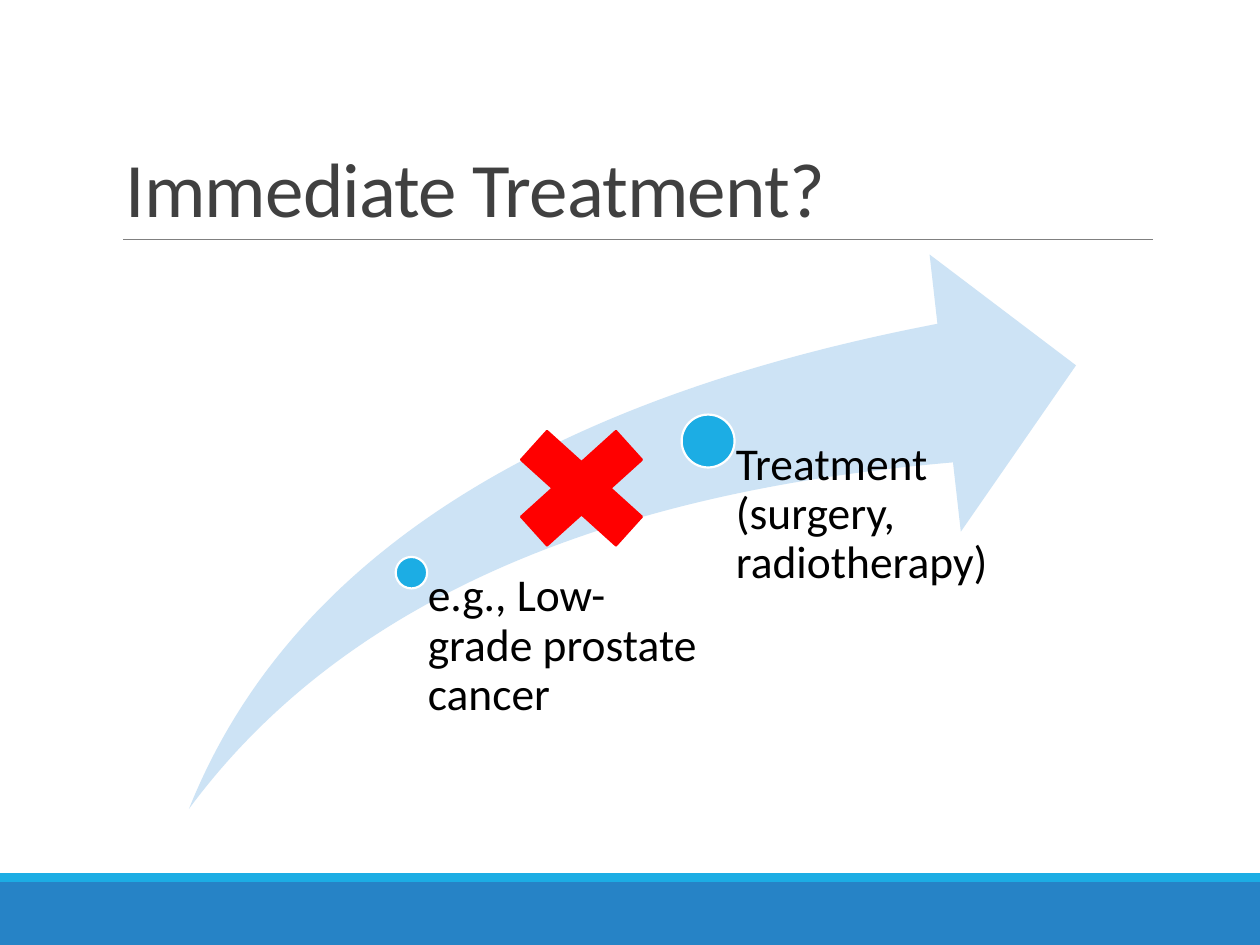
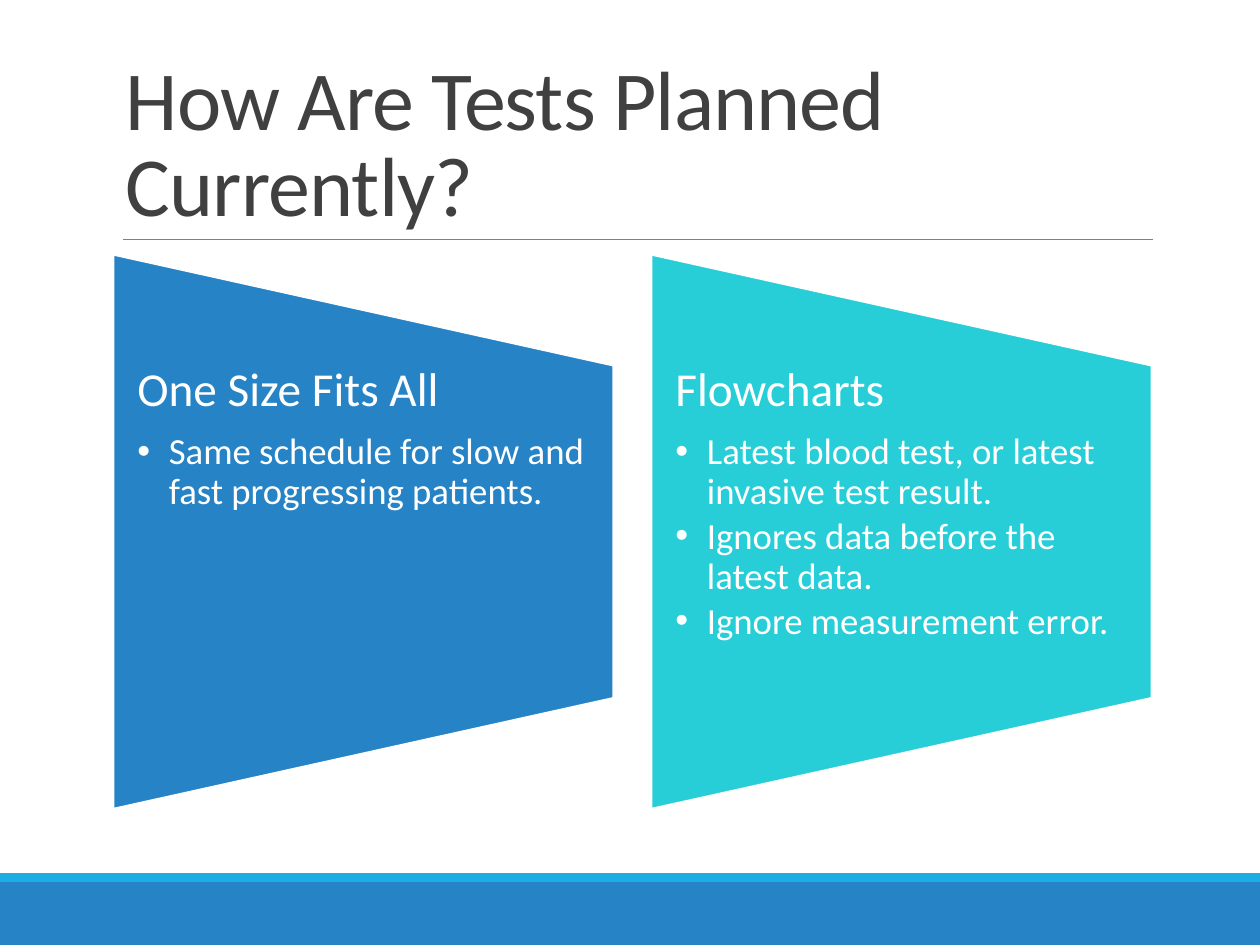
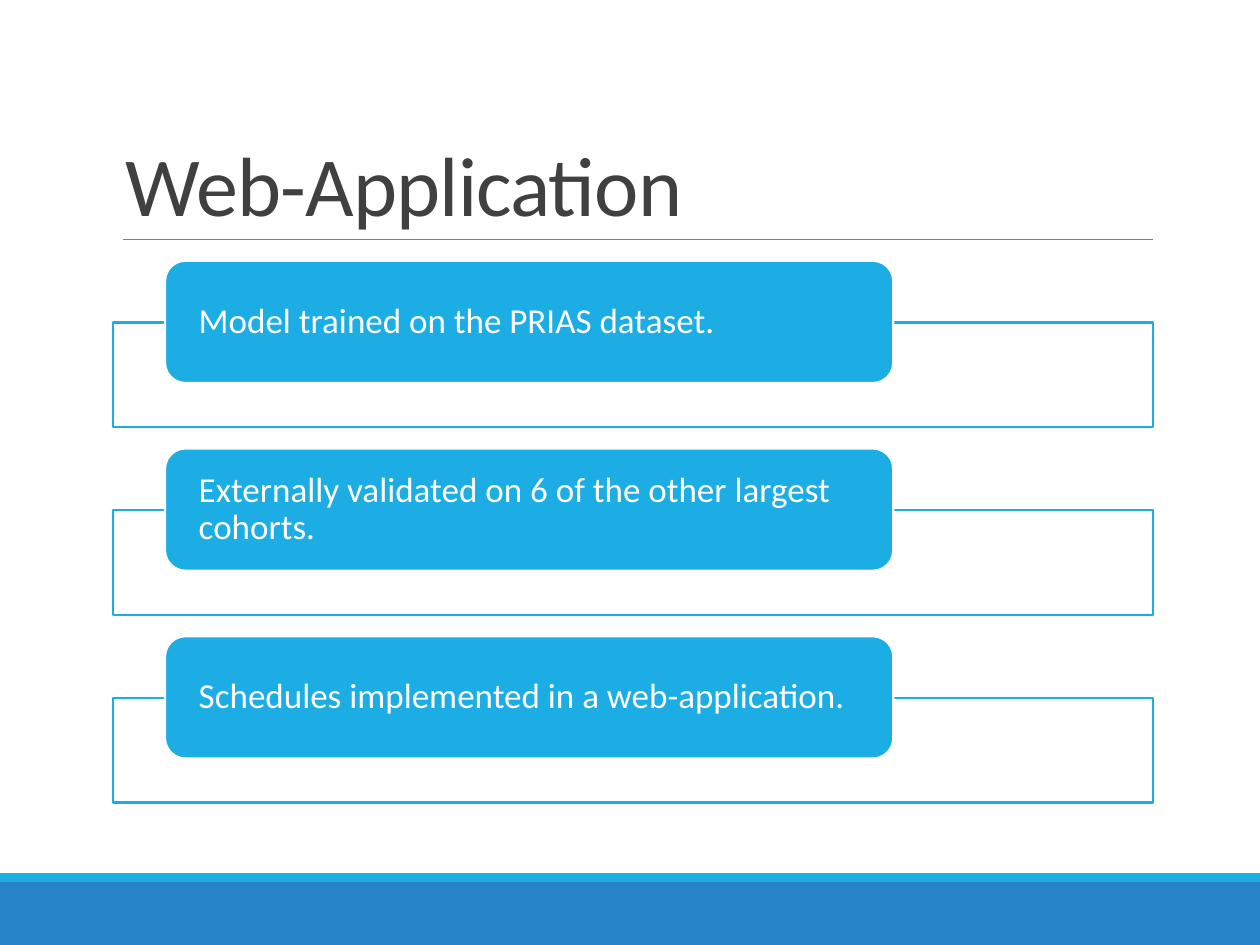
"""Build three slides on treatment choice, test planning and a web-application."""
from lxml.etree import SubElement
from pptx import Presentation
from pptx.dml.color import RGBColor
from pptx.enum.shapes import MSO_CONNECTOR, MSO_SHAPE as Preset
from pptx.enum.text import MSO_ANCHOR as Anchor, PP_ALIGN
from pptx.oxml.ns import qn
from pptx.util import Inches, Pt

FONT = "Calibri"
COLORS = {
    "blue": "2683C6", "sky": "1CADE4", "turquoise": "27CED7", "pale": "CDE3F5",
    "red": "FF0000", "white": "FFFFFF", "black": "000000",
    "title": "404040", "rule": "808080",
}
SLIDE_WIDTH, SLIDE_HEIGHT = 10, 7.5
LEFT, CONTENT_WIDTH = 0.9, 8.25
CONTENT_TOP, CONTENT_HEIGHT = 2.02, 4.4
CONTENT_BOTTOM = CONTENT_TOP + CONTENT_HEIGHT

TREATMENT_TITLE = ("Immediate Treatment?", 44)
TREATMENT_STEPS = [
    ("e.g., Low-grade prostate cancer", 3.14, 4.42, 0.25, 0.13),
    ("Treatment (surgery, radiotherapy)", 5.41, 3.29, 0.42, 0.22),
]

PLANNING_TITLE = ("How Are Tests Planned Currently?", 48)
PLANNING_PANELS = [
    ("One Size Fits All", "blue",
     ["Same schedule for slow and fast progressing patients."]),
    ("Flowcharts", "turquoise",
     ["Latest blood test, or latest invasive test result.",
      "Ignores data before the latest data.",
      "Ignore measurement error."]),
]

APPLICATION_TITLE = ("Web-Application", 48)
APPLICATION_POINTS = [
    "Model trained on the PRIAS dataset.",
    "Externally validated on 6 of the other largest cohorts.",
    "Schedules implemented in a web-application.",
]


def color(name):
    return RGBColor.from_string(COLORS[name])


def add_preset(slide, preset, box, fill, line=None):
    shape = slide.shapes.add_shape(preset, *map(Inches, box))
    shape.shadow.inherit = False
    shape.fill.solid()
    shape.fill.fore_color.rgb = color(fill)
    if line:
        shape.line.color.rgb = color(line)
        shape.line.width = Pt(1.25)
    else:
        shape.line.fill.background()
    return shape


def prepare_frame(shape, margins=(0, 0, 0, 0), anchor=Anchor.TOP):
    frame = shape.text_frame
    frame.word_wrap = True
    frame.vertical_anchor = anchor
    (frame.margin_left, frame.margin_top,
     frame.margin_right, frame.margin_bottom) = map(Inches, margins)
    return frame


def add_text_box(slide, box, margins, anchor=Anchor.TOP):
    return prepare_frame(slide.shapes.add_textbox(*map(Inches, box)), margins, anchor)


def write(paragraph, text, size, ink, line_spacing=0.9, after=0.35):
    paragraph.alignment = PP_ALIGN.LEFT
    paragraph.line_spacing = line_spacing
    paragraph.space_after = Pt(round(size * after, 1))
    run = paragraph.add_run()
    run.text = text
    run.font.name = FONT
    run.font.size = Pt(size)
    run.font.color.rgb = color(ink)
    return run


def add_bullet(paragraph, indent):
    properties = paragraph._p.get_or_add_pPr()
    properties.set("marL", str(Inches(indent)))
    properties.set("indent", str(-Inches(indent)))
    SubElement(properties, qn("a:buFont"), typeface="Arial")
    SubElement(properties, qn("a:buChar"), char="•")


def add_base_slide(presentation, title):
    slide = presentation.slides.add_slide(presentation.slide_layouts[6])
    add_preset(slide, Preset.RECTANGLE, (0, 7, SLIDE_WIDTH, 0.5), "blue")
    add_preset(slide, Preset.RECTANGLE, (0, 6.93, SLIDE_WIDTH, 0.07), "sky")
    rule = slide.shapes.add_connector(
        MSO_CONNECTOR.STRAIGHT, *map(Inches, (0.98, 1.9, 9.15, 1.9)))
    rule.line.color.rgb = color("rule")
    rule.line.width = Pt(0.5)
    SubElement(rule._element.spPr, qn("a:effectLst"))
    frame = add_text_box(slide, (LEFT, 0.31, CONTENT_WIDTH, 1.59),
                         (0.1, 0.05, 0.1, 0.05), Anchor.BOTTOM)
    text, size = title
    run = write(frame.paragraphs[0], text, size, "title", 0.85, 0)
    run.font._element.set("spc", "-50")
    return slide


def add_treatment_slide(presentation):
    slide = add_base_slide(presentation, TREATMENT_TITLE)
    arrow = add_preset(slide, Preset.SWOOSH_ARROW,
                       (1.5, CONTENT_TOP, 7.04, CONTENT_HEIGHT), "pale")
    arrow.adjustments[0] = arrow.adjustments[1] = 0.25
    for text, left, top, diameter, margin in TREATMENT_STEPS:
        add_preset(slide, Preset.OVAL, (left, top, diameter, diameter), "sky", "white")
        center_x, center_y = left + diameter / 2, top + diameter / 2
        frame = add_text_box(slide, (center_x, center_y, 2.29, CONTENT_BOTTOM - center_y),
                             (margin, 0, 0, 0))
        write(frame.paragraphs[0], text, 26, "black")
    add_preset(slide, Preset.MATH_MULTIPLY, (3.89, 3.22, 1.45, 1.31), "red", "red")


def add_planning_slide(presentation):
    slide = add_base_slide(presentation, PLANNING_TITLE)
    width, pitch = 3.97, 4.27
    for index, (heading, fill, bullets) in enumerate(PLANNING_PANELS):
        left = LEFT + index * pitch
        turned_box = (left + (width - CONTENT_HEIGHT) / 2,
                      CONTENT_TOP + (CONTENT_HEIGHT - width) / 2, CONTENT_HEIGHT, width)
        panel = add_preset(slide, Preset.FLOWCHART_MANUAL_OPERATION,
                           turned_box, fill, "white")
        panel.rotation = 270
        frame = add_text_box(slide, (left, 2.9, width, 2.64), (0.19, 0, 0.19, 0))
        write(frame.paragraphs[0], heading, 27, "white")
        for bullet in bullets:
            paragraph = frame.add_paragraph()
            paragraph.level = 1
            add_bullet(paragraph, 0.25)
            write(paragraph, bullet, 21, "white", after=0.15)


def add_application_slide(presentation):
    slide = add_base_slide(presentation, APPLICATION_TITLE)
    pitch = 1.49
    for index, point in enumerate(APPLICATION_POINTS):
        offset = index * pitch
        add_preset(slide, Preset.RECTANGLE,
                   (LEFT, 2.56 + offset, CONTENT_WIDTH, 0.83), "white", "sky")
        label = add_preset(slide, Preset.ROUNDED_RECTANGLE,
                           (1.31, 2.07 + offset, 5.78, 0.97), "sky", "white")
        frame = prepare_frame(label, (0.22, 0, 0.22, 0), Anchor.MIDDLE)
        write(frame.paragraphs[0], point, 20, "white")


def main():
    presentation = Presentation()
    presentation.slide_width = Inches(SLIDE_WIDTH)
    presentation.slide_height = Inches(SLIDE_HEIGHT)
    add_treatment_slide(presentation)
    add_planning_slide(presentation)
    add_application_slide(presentation)
    presentation.save("out.pptx")


if __name__ == "__main__":
    main()
